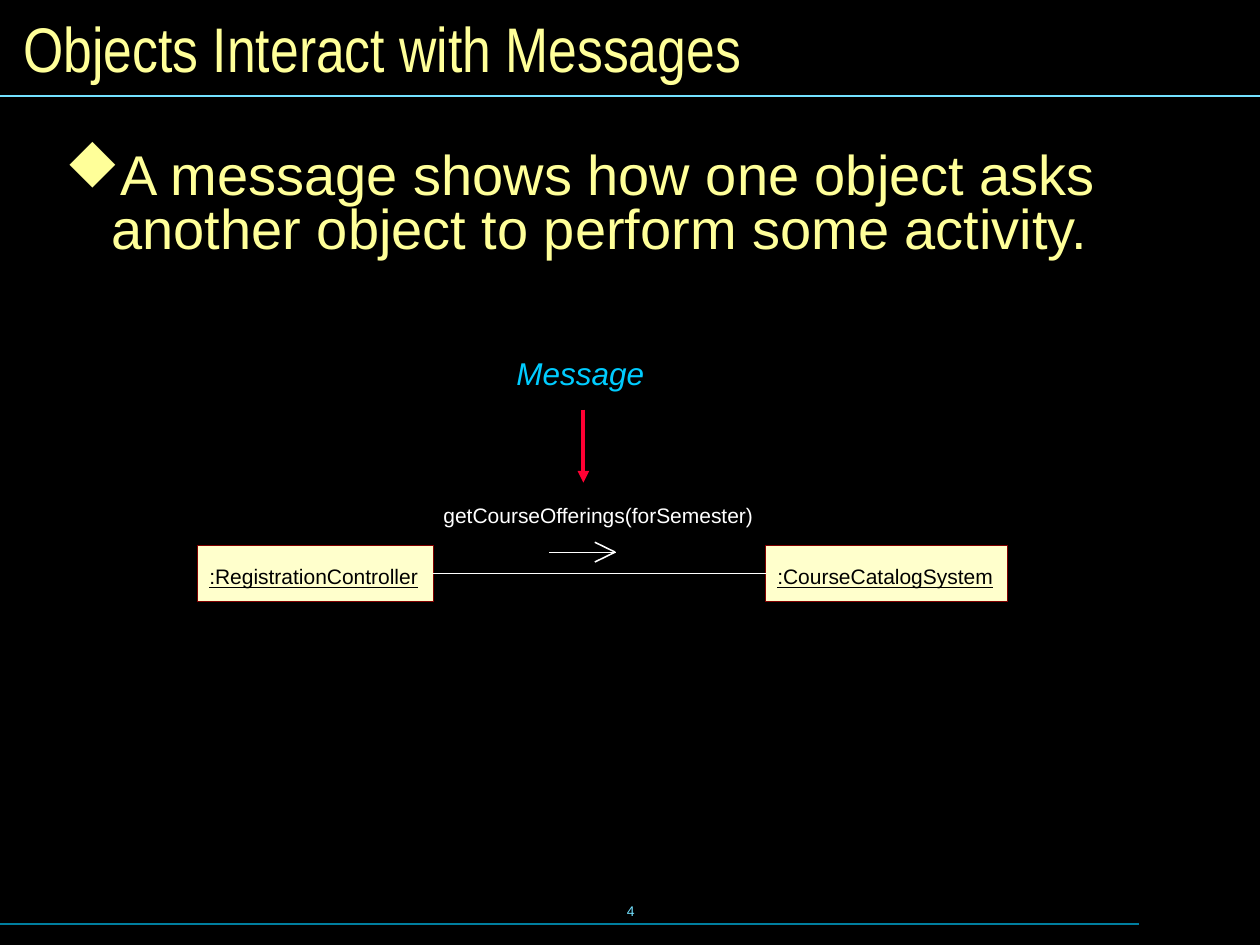
"""Build a slide on how objects interact with messages."""
from lxml import etree
from pptx import Presentation
from pptx.dml.color import RGBColor
from pptx.enum.shapes import MSO_CONNECTOR, MSO_SHAPE
from pptx.enum.text import MSO_ANCHOR, MSO_AUTO_SIZE, PP_ALIGN
from pptx.oxml.ns import qn
from pptx.util import Cm, Pt

STRAIGHT = MSO_CONNECTOR.STRAIGHT
RECT = MSO_SHAPE.RECTANGLE
TOP, MIDDLE = MSO_ANCHOR.TOP, MSO_ANCHOR.MIDDLE
LEFT, CENTER = PP_ALIGN.LEFT, PP_ALIGN.CENTER
FIXED, GROW = MSO_AUTO_SIZE.NONE, MSO_AUTO_SIZE.SHAPE_TO_FIT_TEXT

THEME = {
    "back": "000000", "title": "FFFF99", "rule": "73E1FF", "foot": "007E9F",
    "line": "FFFFFF", "pointer": "FF0033", "box": "FFFFCC", "edge": "800000",
    "ink": "000000", "accent": "00CCFF",
    "font": "Arial", "title_font": "Arial Narrow", "bullet_font": "Wingdings",
    "title_size": 36, "body_size": 32, "callout_size": 18, "label_size": 12, "page_size": 8,
    "hairline": 0.01, "thin": 0.88, "rule_width": 1, "thick": 2.25,
}

TITLE = ("Objects Interact with Messages", (0.22, 0.22, 25, 1.47))
DIAMOND = "u"
INSET_NORMAL, INSET_WIDE, INSET_OBJECT = (0.25, 0.13), (0.3, 0.15), (0.23, 0.37)

TEXTS = [
    ("4", (8.69, 17.73, 8.05, 1.27), INSET_NORMAL, "page_size", "rule",
     {"anchor": MIDDLE, "wrap": False, "align": CENTER}),
    ("A message shows how one object asks another object to perform some activity.",
     (1.01, 2.92, 23.34, 14.02), INSET_WIDE, "body_size", "title",
     {"bullet": DIAMOND, "para": {"line_spacing": 0.8, "space_before": Pt(12)}}),
    ("getCourseOfferings(forSemester)", (8.64, 9.98, 8, 0.81), INSET_WIDE, "label_size", "line",
     {"auto": GROW, "para": {"space_before": Pt(7.5)}}),
    ("Message", (10.11, 6.99, 3.18, 1.07), INSET_WIDE, "callout_size", "accent",
     {"auto": GROW, "wrap": False, "font": {"italic": True}}),
]

OBJECTS = [
    (":RegistrationController", (3.99, 11, 4.75, 1.12)),
    (":CourseCatalogSystem", (15.44, 11, 4.88, 1.12)),
]

ARROW_TIP = (12.4, 11.13)
LINES = [
    ((0, 18.63), (22.96, 18.63), "foot", "rule_width", None),
    ((0, 1.94), (25.4, 1.94), "rule", "rule_width", None),
    ((11.07, 11.13), ARROW_TIP, "line", "hairline", None),
    (ARROW_TIP, (11.99, 11.33), "line", "thin", None),
    (ARROW_TIP, (11.99, 10.93), "line", "thin", None),
    ((11.76, 8.26), (11.76, 9.73), "pointer", "thick", "triangle"),
]


def color(name):
    return RGBColor.from_string(THEME[name])


def cms(values):
    return [Cm(v) for v in values]


def apply(target, values):
    for name, value in values.items():
        setattr(target, name, value)


def write(shape, text, inset, size, ink, anchor=TOP, wrap=True, auto=FIXED, align=LEFT,
          face="font", font=None, para=None, bullet=None):
    tf = shape.text_frame
    x, y = cms(inset)
    apply(tf, {"auto_size": auto, "word_wrap": wrap, "vertical_anchor": anchor,
               "margin_left": x, "margin_right": x, "margin_top": y, "margin_bottom": y})
    p = tf.paragraphs[0]
    apply(p, {"alignment": align, **(para or {})})
    if bullet:
        add_bullet(p, bullet)
    r = p.add_run()
    r.text = text
    apply(r.font, {"name": THEME[face], "size": Pt(THEME[size]), **(font or {})})
    r.font.color.rgb = color(ink)


def add_bullet(p, char):
    ppr = p._p.get_or_add_pPr()
    ppr.set("marL", str(Cm(0.94)))
    ppr.set("indent", str(-Cm(0.94)))
    tint = etree.SubElement(ppr, qn("a:buClr"))
    etree.SubElement(tint, qn("a:srgbClr"), val=THEME["title"])
    etree.SubElement(ppr, qn("a:buFont"), typeface=THEME["bullet_font"], charset="2")
    etree.SubElement(ppr, qn("a:buChar"), char=char)


def stroke(line, ink, width):
    line.color.rgb = color(ink)
    line.width = Pt(THEME[width])


def add_line(s, start, end, ink, width, head=None):
    connector = s.shapes.add_connector(STRAIGHT, *cms(start + end))
    stroke(connector.line, ink, width)
    if head:
        etree.SubElement(connector.line._get_or_add_ln(), qn("a:tailEnd"), type=head)
    etree.SubElement(connector._element.spPr, qn("a:effectLst"))
    return connector


def add_object(s, text, place):
    box = s.shapes.add_shape(RECT, *cms(place))
    box.shadow.inherit = False
    box.fill.solid()
    box.fill.fore_color.rgb = color("box")
    stroke(box.line, "edge", "hairline")
    write(box, text, INSET_OBJECT, "label_size", "ink", wrap=False, font={"underline": True})
    return box


def main():
    prs = Presentation()
    prs.slide_width, prs.slide_height = Cm(25.4), Cm(19.05)
    s = prs.slides.add_slide(prs.slide_layouts[5])
    s.background.fill.solid()
    s.background.fill.fore_color.rgb = color("back")

    text, place = TITLE
    title = s.shapes.title
    apply(title, dict(zip(("left", "top", "width", "height"), cms(place))))
    write(title, text, INSET_NORMAL, "title_size", "title", anchor=MIDDLE, face="title_font")

    for line in LINES:
        add_line(s, *line)
    sender, receiver = [add_object(s, *item) for item in OBJECTS]
    link = add_line(s, (0, 0), (0, 0), "line", "hairline")
    link.begin_connect(sender, 3)
    link.end_connect(receiver, 1)

    for text, place, inset, size, ink, options in TEXTS:
        write(s.shapes.add_textbox(*cms(place)), text, inset, size, ink, **options)
    prs.save("out.pptx")


if __name__ == "__main__":
    main()
